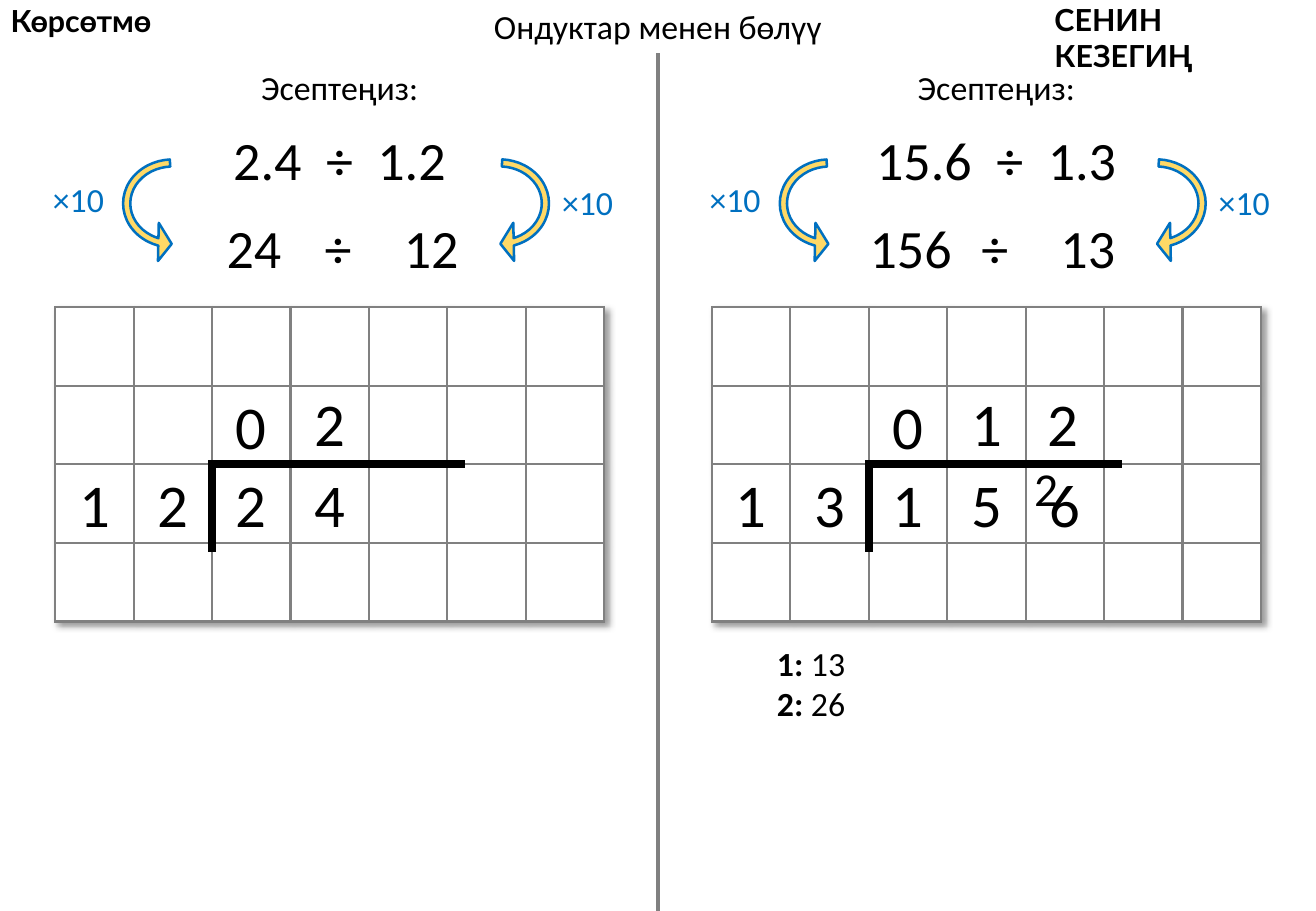
from dataclasses import dataclass

from lxml.etree import SubElement
from pptx import Presentation
from pptx.dml.color import RGBColor
from pptx.enum.shapes import MSO_CONNECTOR, MSO_SHAPE
from pptx.enum.text import MSO_ANCHOR, MSO_AUTO_SIZE, PP_ALIGN
from pptx.oxml.ns import qn
from pptx.util import Inches, Pt


@dataclass(frozen=True)
class Theme:
    font: str = "Calibri"
    label_font: str = "Lato"
    ink: str = "000000"
    rule: str = "808080"
    paper: str = "FFFFFF"
    accent: str = "0070C0"
    arrow: str = "FFD966"
    label: int = 18
    normal: int = 20
    carry: int = 28
    sum: int = 32
    digit: int = 36


THEME = Theme()
WIDTH, HEIGHT = Inches(10.83), Inches(7.5)

# Squared grid: origin and cell in percent of the slide
COLUMNS, ROWS = 7, 4
GRID_LEFT, GRID_TOP = 4.2, 33.7
CELL_W, CELL_H = 5.96, 8.63

# Each half: offset, (centre, width) of each part of the sums, digits by cell
EXAMPLE = {
    "offset": 0,
    "decimal": ("2.4", "1.2", 25.8, 18.2),
    "whole": [("24", 19.3, 6.1), ("÷", 25.7, 4), ("12", 32.77, 6.1)],
    "digits": [("0", 2, 1), ("2", 3, 0.97),
               ("1", 0, 2), ("2", 1, 2), ("2", 2, 2), ("4", 3, 2)],
    "carries": [],
}
YOUR_TURN = {
    "offset": 49.9,
    "decimal": ("15.6", "1.3", 25.8, 20.3),
    "whole": [("156", 19.3, 8.2), ("÷", 25.7, 4), ("13", 32.77, 6.1)],
    "digits": [("0", 2, 1), ("1", 3, 0.97), ("2", 3.97, 0.97),
               ("1", 0, 2), ("3", 1, 2), ("1", 2, 2), ("5", 3, 2), ("6", 4, 2)],
    "carries": [("2", 3.73, 1.78)],
}


def rgb(value):
    return RGBColor.from_string(value)


def share(left, top, width, height):
    """Percent of the slide to lengths."""
    return (int(WIDTH * left / 100), int(HEIGHT * top / 100),
            int(WIDTH * width / 100), int(HEIGHT * height / 100))


def cell_point(offset, column, row):
    return offset + GRID_LEFT + column * CELL_W, GRID_TOP + row * CELL_H


def set_all(target, values):
    for name, value in values.items():
        setattr(target, name, value)


def fill_text(holder, paragraphs, size, color=THEME.ink, font=THEME.font,
              align=PP_ALIGN.CENTER, wrap=False):
    """Each paragraph is a list of (text, bold, letter spacing) runs."""
    frame = holder.text_frame
    set_all(frame, {"word_wrap": wrap, "vertical_anchor": MSO_ANCHOR.TOP,
                    "auto_size": MSO_AUTO_SIZE.SHAPE_TO_FIT_TEXT})
    for index, runs in enumerate(paragraphs):
        line = frame.add_paragraph() if index else frame.paragraphs[0]
        set_all(line, {"alignment": align, "space_before": Pt(0)})
        for text, bold, spacing in runs:
            run = line.add_run()
            run.text = text
            set_all(run.font, {"name": font, "size": Pt(size), "bold": bold})
            run.font.color.rgb = rgb(color)
            if spacing:
                run._r.get_or_add_rPr().set("spc", str(spacing))


def add_label(slide, text, box, size, bold=False, **style):
    fill_text(slide.shapes.add_textbox(*share(*box)), [[(text, bold, 0)]], size, **style)


def move(holder, box):
    set_all(holder, dict(zip(("left", "top", "width", "height"), share(*box))))


def add_line(slide, start, end, color, weight):
    line = slide.shapes.add_connector(MSO_CONNECTOR.STRAIGHT, *share(*start, *end))
    line.line.color.rgb = rgb(color)
    line.line.width = Pt(weight)
    SubElement(line._element.spPr, qn("a:effectLst"))


def add_arrow(slide, left, flipped):
    arrow = slide.shapes.add_shape(MSO_SHAPE.CIRCULAR_ARROW, *share(left, 15.2, 9.05, 14.25))
    arrow.rotation = 90
    for index, value in enumerate((0.06, 11.42, 203.85, 110.16, 0.16)):
        arrow.adjustments[index] = value
    if flipped:
        arrow._element.spPr.xfrm.set("flipV", "1")
    arrow.shadow.inherit = False
    arrow.fill.solid()
    arrow.fill.fore_color.rgb = rgb(THEME.arrow)
    arrow.line.color.rgb = rgb(THEME.accent)
    arrow.line.width = Pt(1.5)


def add_border(cell):
    properties = cell._tc.get_or_add_tcPr()
    for index, side in enumerate(("lnL", "lnR", "lnT", "lnB")):
        edge = SubElement(properties, qn(f"a:{side}"), w=str(Pt(1.5)))
        paint = SubElement(edge, qn("a:solidFill"))
        SubElement(paint, qn("a:srgbClr"), val=THEME.rule)
        properties.insert(index, edge)


def add_grid(slide, offset):
    box = (offset + GRID_LEFT, GRID_TOP, COLUMNS * CELL_W, ROWS * CELL_H)
    grid = slide.shapes.add_table(ROWS, COLUMNS, *share(*box)).table
    set_all(grid, {"first_row": False, "horz_banding": False})
    for cell in grid.iter_cells():
        cell.fill.solid()
        cell.fill.fore_color.rgb = rgb(THEME.paper)
        add_border(cell)
    # Soft shadow below and to the right
    properties = grid._tbl.tblPr
    effects = SubElement(properties, qn("a:effectLst"))
    shadow = SubElement(effects, qn("a:outerShdw"), blurRad="50800", dist="38100",
                        dir="2700000", algn="tl", rotWithShape="0")
    tint = SubElement(shadow, qn("a:srgbClr"), val=THEME.ink)
    SubElement(tint, qn("a:alpha"), val="40000")
    properties.insert(0, effects)


def add_digit(slide, offset, text, column, row, size):
    width, height = 0.71 * size / THEME.digit, 1.1 * size / THEME.digit
    corner = cell_point(offset, column + 0.5 - width / 2, row + 0.51 - height / 2)
    add_label(slide, text, (*corner, width * CELL_W, height * CELL_H), size)


def add_half(slide, half):
    offset = half["offset"]
    add_label(slide, "Эсептеңиз:", (offset + 18.84, 6.67, 13.94, 5.87), THEME.normal)

    # Decimal division, then the same division in whole numbers
    dividend, divisor, centre, width = half["decimal"]
    gap = (" ", False, 720)
    sum_box = slide.shapes.add_textbox(*share(offset + centre - width / 2, 13.2, width, 8.53))
    fill_text(sum_box, [[(dividend, False, 0), gap, ("÷", False, 0), gap,
                         (divisor, False, 0)]], THEME.sum)
    for text, centre, width in half["whole"]:
        add_label(slide, text, (offset + centre - width / 2, 22.93, width, 8.53), THEME.sum)

    # Multiplying both numbers by ten
    for arrow_left, flipped, factor_left, factor_top in (
            (33.43, False, 41.74, 19.33), (8.59, True, 3.05, 18.93)):
        add_arrow(slide, offset + arrow_left, flipped)
        add_label(slide, "×10", (offset + factor_left, factor_top, 5.82, 5.87),
                  THEME.normal, color=THEME.accent)

    # Long division on the grid
    add_grid(slide, offset)
    for start, end in (((1.95, 2), (5.23, 2)), ((2, 1.98), (2, 3.12))):
        first, last = cell_point(offset, *start), cell_point(offset, *end)
        add_line(slide, first, last, THEME.ink, 4.5)
    for digits, size in ((half["digits"], THEME.digit), (half["carries"], THEME.carry)):
        for text, column, row in digits:
            add_digit(slide, offset, text, column, row, size)


def add_multiples(holder):
    move(holder, (58.08, 69.87, 7.11, 10.27))
    multiples = (("1:", " 13"), ("2:", " 26"))
    fill_text(holder, [[(count, True, 0), (value, False, 0)] for count, value in multiples],
              THEME.normal)
    for line in holder.text_frame.paragraphs:
        properties = line._p.get_or_add_pPr()
        properties.set("marL", "0")
        properties.set("indent", "0")
        SubElement(properties, qn("a:buNone"))


def main():
    deck = Presentation()
    set_all(deck, {"slide_width": WIDTH, "slide_height": HEIGHT})
    slide = deck.slides.add_slide(deck.slide_layouts[1])

    # Heading row and divider
    title = slide.shapes.title
    move(title, (36.47, 0, 27.05, 5.87))
    fill_text(title, [[("Ондуктар менен бөлүү", False, 0)]], THEME.normal)
    add_line(slide, (50, 5.87), (50, 100), THEME.rule, 2.25)
    for text, box, wrap in (("Көрсөтмө", (-0.1, -0.4, 12.74, 9.47), False),
                            ("СЕНИН КЕЗЕГИҢ", (79.22, -0.53, 20.96, 5.33), True)):
        add_label(slide, text, box, THEME.label, bold=True, font=THEME.label_font,
                  align=PP_ALIGN.LEFT, wrap=wrap)

    # Worked example and exercise
    for half in (EXAMPLE, YOUR_TURN):
        add_half(slide, half)
    add_multiples(slide.placeholders[1])

    deck.save("out.pptx")


if __name__ == "__main__":
    main()
